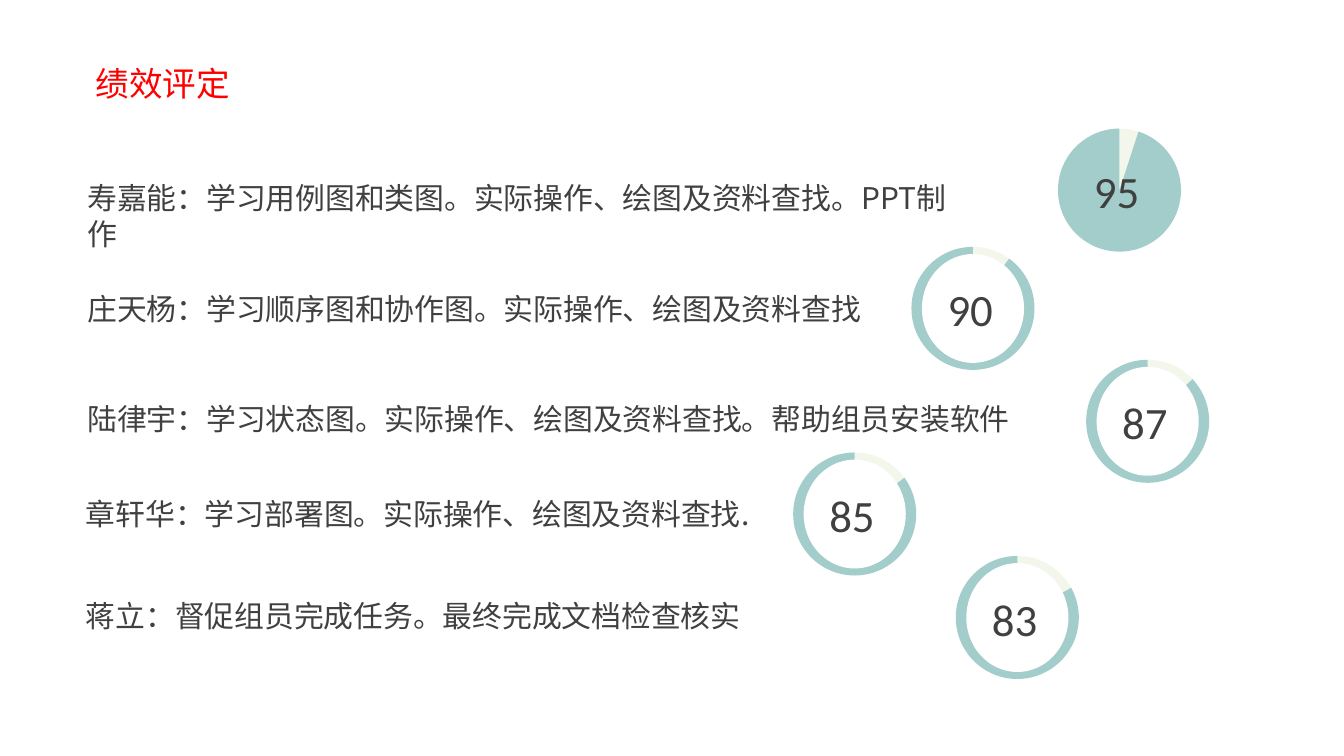
from lxml import etree
from pptx import Presentation
from pptx.chart.data import CategoryChartData
from pptx.dml.color import RGBColor
from pptx.enum.chart import XL_CHART_TYPE
from pptx.enum.shapes import MSO_SHAPE
from pptx.enum.text import MSO_ANCHOR, MSO_AUTO_SIZE, PP_ALIGN
from pptx.oxml import parse_xml
from pptx.oxml.ns import nsdecls, qn
from pptx.util import Inches, Pt

PIE = XL_CHART_TYPE.PIE
OVAL = MSO_SHAPE.OVAL
TOP = MSO_ANCHOR.TOP
LEFT = PP_ALIGN.LEFT
GROW = MSO_AUTO_SIZE.SHAPE_TO_FIT_TEXT
COLORS = {"title": "FF0000", "text": "404040", "rest": "C3D69B",
          "score": "65ADA9", "hole": "FFFFFF", "chart": "000000"}
CJK_FONT = "Noto Sans CJK SC"
LATIN_FONT = "Calibri"
PIE_WIDTH, PIE_HEIGHT = 0.65, 0.77


def write_text(box, text, size, font=LATIN_FONT, color="text", wrap=False, insets=(0.08, 0.04)):
    frame = box.text_frame
    frame.word_wrap = wrap
    frame.auto_size = GROW
    frame.vertical_anchor = TOP
    frame.margin_left = frame.margin_right = Inches(insets[0])
    frame.margin_top = frame.margin_bottom = Inches(insets[1])
    para = frame.paragraphs[0]
    para.alignment = LEFT
    span = para.add_run()
    span.text = text
    span.font.size = Pt(size)
    span.font.name = font
    span.font.color.rgb = RGBColor.from_string(COLORS[color])
    if font == CJK_FONT:
        east_asian = etree.SubElement(span.font._element, qn("a:ea"))
        east_asian.set("typeface", font)


deck = Presentation()
deck.slide_width = Inches(10)
deck.slide_height = deck.slide_width * 9 // 16
page = deck.slides.add_slide(deck.slide_layouts[5])

title = page.shapes.title
title.left, title.top = Inches(0.61), Inches(0.42)
title.width, title.height = Inches(1.25), Inches(0.4)
write_text(title, "绩效评定", 18, color="title", insets=(0.1, 0.05))

members = [
    ("寿嘉能：学习用例图和类图。实际操作、绘图及资料查找。PPT制作", 0.57, 1.3, 6.77, True),
    ("庄天杨：学习顺序图和协作图。实际操作、绘图及资料查找", 0.57, 2.12, 5.93, False),
    ("陆律宇：学习状态图。实际操作、绘图及资料查找。帮助组员安装软件", 0.57, 2.94, 7.06, False),
    ("章轩华：学习部署图。实际操作、绘图及资料查找.", 0.56, 3.65, 5.09, False),
    ("蒋立：督促组员完成任务。最终完成文档检查核实", 0.56, 4.41, 5.04, False),
]
for text, left, top, width, wrap in members:
    box = page.shapes.add_textbox(Inches(left), Inches(top), Inches(width), Inches(0.34))
    write_text(box, text, 16, font=CJK_FONT, wrap=wrap)

scores = [
    (95, 7.62, 0.82, False),
    (90, 6.53, 1.7, True),
    (87, 7.83, 2.54, True),
    (85, 5.65, 3.23, True),
    (83, 6.86, 4, True),
]
for score, left, top, has_hole in scores:
    data = CategoryChartData()
    data.categories = ["1", "2"]
    data.add_series("Series 1", (100 - score, score))
    chart = page.shapes.add_chart(
        PIE, Inches(left), Inches(top), Inches(1.42), Inches(1.19), data).chart
    chart.has_legend = False
    chart.has_title = False
    chart.font.size = Pt(10)
    chart.font.name = LATIN_FONT
    chart.font.color.rgb = RGBColor.from_string(COLORS["chart"])
    plot = chart.plots[0]
    plot.vary_by_categories = True
    for index, (color, opacity) in enumerate([("rest", 20), ("score", 60)]):
        point = plot.series[0].points[index]
        point.format.line.fill.background()
        point.format.fill.solid()
        point.format.fill.fore_color.rgb = RGBColor.from_string(COLORS[color])
        rgb = point.format.fill._xPr.find(".//" + qn("a:srgbClr"))
        etree.SubElement(rgb, qn("a:alpha")).set("val", str(opacity * 1000))

    plot_area = chart._chartSpace.chart.plotArea
    for layout in plot_area.findall(qn("c:layout")):
        plot_area.remove(layout)
    plot_area.insert(0, parse_xml(
        f'<c:layout {nsdecls("c")}><c:manualLayout><c:layoutTarget val="inner"/>'
        '<c:xMode val="edge"/><c:yMode val="edge"/>'
        f'<c:x val="{(1 - PIE_WIDTH) / 2}"/><c:y val="{(1 - PIE_HEIGHT) / 2}"/>'
        f'<c:w val="{PIE_WIDTH}"/><c:h val="{PIE_HEIGHT}"/></c:manualLayout></c:layout>'))

    if has_hole:
        hole = page.shapes.add_shape(
            OVAL, Inches(left + 0.33), Inches(top + 0.19), Inches(0.76), Inches(0.81))
        hole.shadow.inherit = False
        hole.fill.solid()
        hole.fill.fore_color.rgb = RGBColor.from_string(COLORS["hole"])
        hole.line.fill.background()
    label = page.shapes.add_textbox(
        Inches(left + 0.44), Inches(top + 0.36), Inches(0.55), Inches(0.48))
    write_text(label, str(score), 24, wrap=True)

deck.save("out.pptx")
